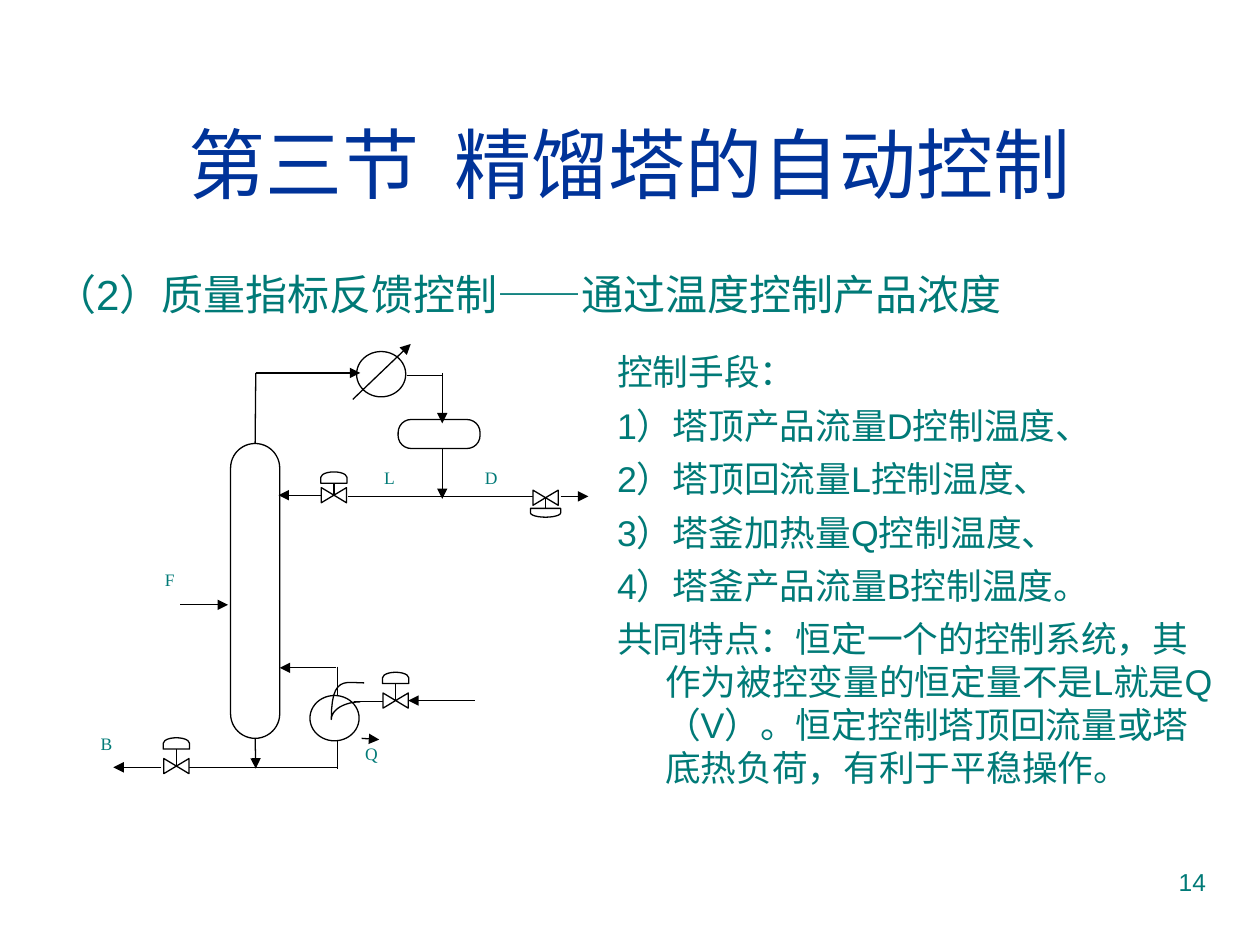
import dataclasses

import pptx
import pptx.dml.color
import pptx.enum.shapes
import pptx.enum.text
import pptx.oxml.ns
import pptx.util
from lxml import etree

Inches = pptx.util.Inches
Pt = pptx.util.Pt
SHAPE = pptx.enum.shapes.MSO_SHAPE
ALIGN = pptx.enum.text.PP_ALIGN
ANCHOR = pptx.enum.text.MSO_ANCHOR
qn = pptx.oxml.ns.qn

TEAL, NAVY, BLACK, WHITE = "007A77", "003399", "000000", "FFFFFF"
INDENT = 0.38


def color(value):
    return pptx.dml.color.RGBColor.from_string(value)


def place(shape, box):
    shape.left, shape.top, shape.width, shape.height = map(Inches, box)


def write(frame, lines, size, align=ALIGN.LEFT, font="Arial", ink=TEAL, indent=0):
    """Fill a text frame with unbulleted paragraphs, hanging by indent."""
    frame.word_wrap = True
    frame.auto_size = pptx.enum.text.MSO_AUTO_SIZE.NONE
    for number, line in enumerate(lines):
        paragraph = frame.paragraphs[0] if number == 0 else frame.add_paragraph()
        paragraph.text = line
        paragraph.alignment = align
        paragraph.space_before = Pt(6 if number else 0)
        properties = paragraph._p.get_or_add_pPr()
        properties.set("marL", str(Inches(indent)))
        properties.set("indent", str(Inches(-indent)))
        etree.SubElement(properties, qn("a:buNone"))
        paragraph.font.size = Pt(size)
        paragraph.font.name = font
        paragraph.font.color.rgb = color(ink)


def add_text(slide, box, lines, size, **style):
    textbox = slide.shapes.add_textbox(*map(Inches, box))
    write(textbox.text_frame, lines, size, **style)


@dataclasses.dataclass
class Flowsheet:
    """Drawing area whose coordinates are inches from its top left corner."""
    slide: object
    left: float
    top: float

    def at(self, x, y):
        return Inches(self.left + x), Inches(self.top + y)

    def vessel(self, kind, x, y, width, height, rotation=0):
        vessel = self.slide.shapes.add_shape(
            kind, *self.at(x, y), Inches(width), Inches(height))
        vessel.rotation = rotation
        vessel.shadow.inherit = False
        vessel.fill.solid()
        vessel.fill.fore_color.rgb = color(WHITE)
        self.outline(vessel)
        return vessel

    def outline(self, shape):
        shape.line.color.rgb = color(BLACK)
        shape.line.width = Pt(0.75)

    def pipe(self, x1, y1, x2, y2, arrow=False):
        pipe = self.slide.shapes.add_connector(
            pptx.enum.shapes.MSO_CONNECTOR.STRAIGHT, *self.at(x1, y1), *self.at(x2, y2))
        self.outline(pipe)
        properties = pipe.element.spPr
        if arrow:
            etree.SubElement(properties.find(qn("a:ln")), qn("a:tailEnd"), type="triangle")
        etree.SubElement(properties, qn("a:effectLst"))
        return pipe

    def valve(self, x, y, rise, dome=(0.09, 0.21)):
        """Control valve centred on x, y; its actuator is rise above it."""
        depth, span = dome
        self.vessel(SHAPE.FLOWCHART_COLLATE, x - 0.06, y - 0.1, 0.12, 0.2, 90)
        self.vessel(SHAPE.FLOWCHART_DELAY, x - depth / 2, y - rise - span / 2,
                    depth, span, 270 if rise > 0 else 90)
        edge = depth / 2 if rise > 0 else -depth / 2
        self.pipe(x, y, x, y - rise + edge)

    def curve(self, *beziers):
        """Open line through cubic curves, each given by four points."""
        points = []
        for a, b, c, d in beziers:
            for step in range(13):
                t = step / 12
                weights = ((1 - t) ** 3, 3 * t * (1 - t) ** 2, 3 * t * t * (1 - t), t ** 3)
                points.append(self.at(*(
                    sum(w * p[axis] for w, p in zip(weights, (a, b, c, d)))
                    for axis in (0, 1))))
        builder = self.slide.shapes.build_freeform(*points[0])
        builder.add_line_segments(points[1:], close=False)
        curve = builder.convert_to_shape()
        curve.shadow.inherit = False
        curve.fill.background()
        self.outline(curve)

    def label(self, x, y, text):
        add_text(self.slide, (self.left + x, self.top + y, 0.5, 0.5), [text], 10,
                 font="Times New Roman")


def draw_column(sheet):
    column = sheet.vessel(SHAPE.ROUNDED_RECTANGLE, 1.13, 0.82, 0.39, 2.34)
    column.adjustments[0] = 0.5
    sheet.pipe(0.73, 2.1, 1.11, 2.1, arrow=True)
    sheet.pipe(1.33, 0.82, 1.33, 0.26).begin_connect(column, 0)
    sheet.pipe(1.33, 3.16, 1.33, 3.4, arrow=True).begin_connect(column, 2)
    sheet.label(0.51, 1.77, "F")


def draw_overhead(sheet):
    """Condenser, reflux drum, reflux L and distillate D."""
    sheet.vessel(SHAPE.OVAL, 2.13, 0.09, 0.39, 0.36)
    sheet.vessel(SHAPE.ROUNDED_RECTANGLE, 2.46, 0.63, 0.65, 0.23).adjustments[0] = 0.45
    sheet.pipe(1.33, 0.26, 2.16, 0.26, arrow=True)
    sheet.pipe(2.1, 0.47, 2.56, 0.03, arrow=True)
    sheet.pipe(2.53, 0.28, 2.81, 0.28)
    sheet.pipe(2.81, 0.26, 2.81, 0.66, arrow=True)
    sheet.pipe(2.81, 0.86, 2.81, 1.26, arrow=True)
    sheet.pipe(2.06, 1.24, 3.54, 1.24)
    sheet.pipe(1.85, 1.23, 1.51, 1.23, arrow=True)
    sheet.pipe(3.75, 1.24, 3.97, 1.24, arrow=True)
    sheet.valve(1.95, 1.23, 0.14)
    sheet.valve(3.63, 1.25, -0.12, dome=(0.07, 0.24))
    sheet.label(2.25, 0.96, "L")
    sheet.label(3.05, 0.96, "D")


def draw_reboiler(sheet):
    """Reboiler with heating Q, and bottom product B."""
    sheet.vessel(SHAPE.OVAL, 1.76, 2.82, 0.39, 0.36)
    sheet.pipe(1.97, 2.6, 1.52, 2.6, arrow=True)
    sheet.pipe(1.98, 2.59, 1.98, 2.82)
    sheet.pipe(1.98, 3.17, 1.98, 3.4)
    sheet.pipe(1.98, 3.39, 0.79, 3.39)
    sheet.pipe(0.58, 3.39, 0.2, 3.39, arrow=True)
    sheet.pipe(2.34, 2.87, 2.11, 2.87)
    sheet.pipe(3.07, 2.86, 2.54, 2.86, arrow=True)
    sheet.pipe(2.17, 3.16, 2.31, 3.17, arrow=True)
    sheet.curve(((2.16, 2.87), (2.04, 2.87), (1.93, 2.93), (1.93, 3.01)),
                ((1.93, 3.01), (1.93, 2.66), (2.04, 2.72), (2.19, 2.72)))
    sheet.valve(0.7, 3.38, 0.18)
    sheet.valve(2.44, 2.86, 0.18)
    sheet.label(2.1, 3.15, "Q")
    sheet.label(0, 3.07, "B")


def add_headings(slide, title_box, body_box):
    title, body = slide.placeholders
    place(title, title_box)
    title.text_frame.vertical_anchor = ANCHOR.MIDDLE
    write(title.text_frame, ["第三节  精馏塔的自动控制"], 44, align=ALIGN.CENTER, ink=NAVY)
    place(body, body_box)
    write(body.text_frame, ["（2）质量指标反馈控制——通过温度控制产品浓度"], 24, indent=INDENT)


def add_control_means(slide, box):
    add_text(slide, box, [
        "控制手段：",
        "1）塔顶产品流量D控制温度、",
        "2）塔顶回流量L控制温度、",
        "3）塔釜加热量Q控制温度、",
        "4）塔釜产品流量B控制温度。",
        "共同特点：恒定一个的控制系统，其作为被控变量的恒定量不是L就是Q（V）。"
        "恒定控制塔顶回流量或塔底热负荷，有利于平稳操作。",
    ], 20.4, indent=INDENT)


def main():
    deck = pptx.Presentation()
    deck.slide_width, deck.slide_height = Inches(10), Inches(7.5)
    slide = deck.slides.add_slide(deck.slide_layouts[1])
    add_headings(slide, (0.33, 0.67, 9.34, 1.25), (0.33, 2.08, 9.34, 4.59))
    sheet = Flowsheet(slide, 0.7, 2.7)
    draw_column(sheet)
    draw_overhead(sheet)
    draw_reboiler(sheet)
    add_control_means(slide, (4.8, 2.73, 5, 3.72))
    add_text(slide, (7.17, 6.83, 2.5, 0.52), ["14"], 14, align=ALIGN.RIGHT)
    deck.save("out.pptx")


if __name__ == "__main__":
    main()
